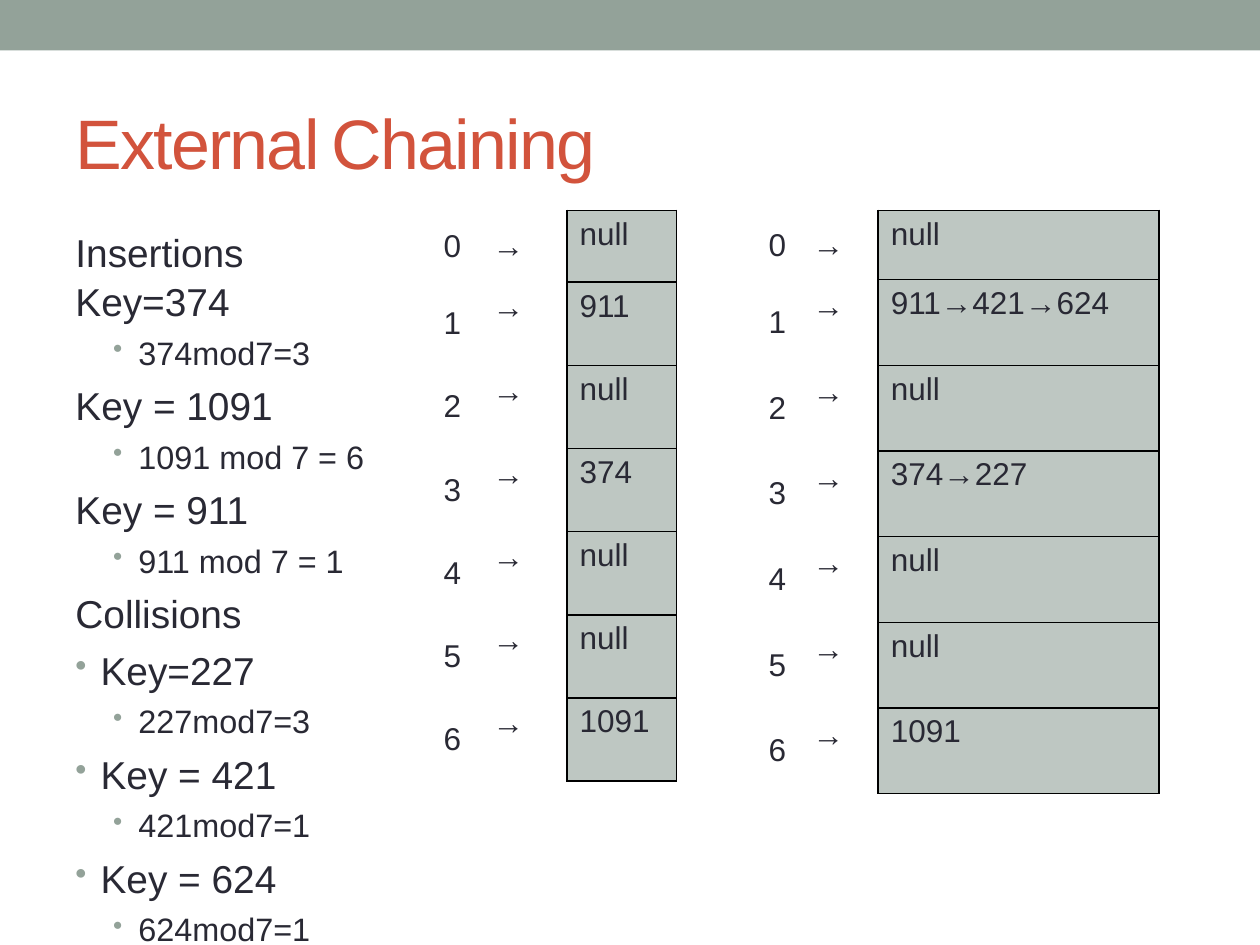
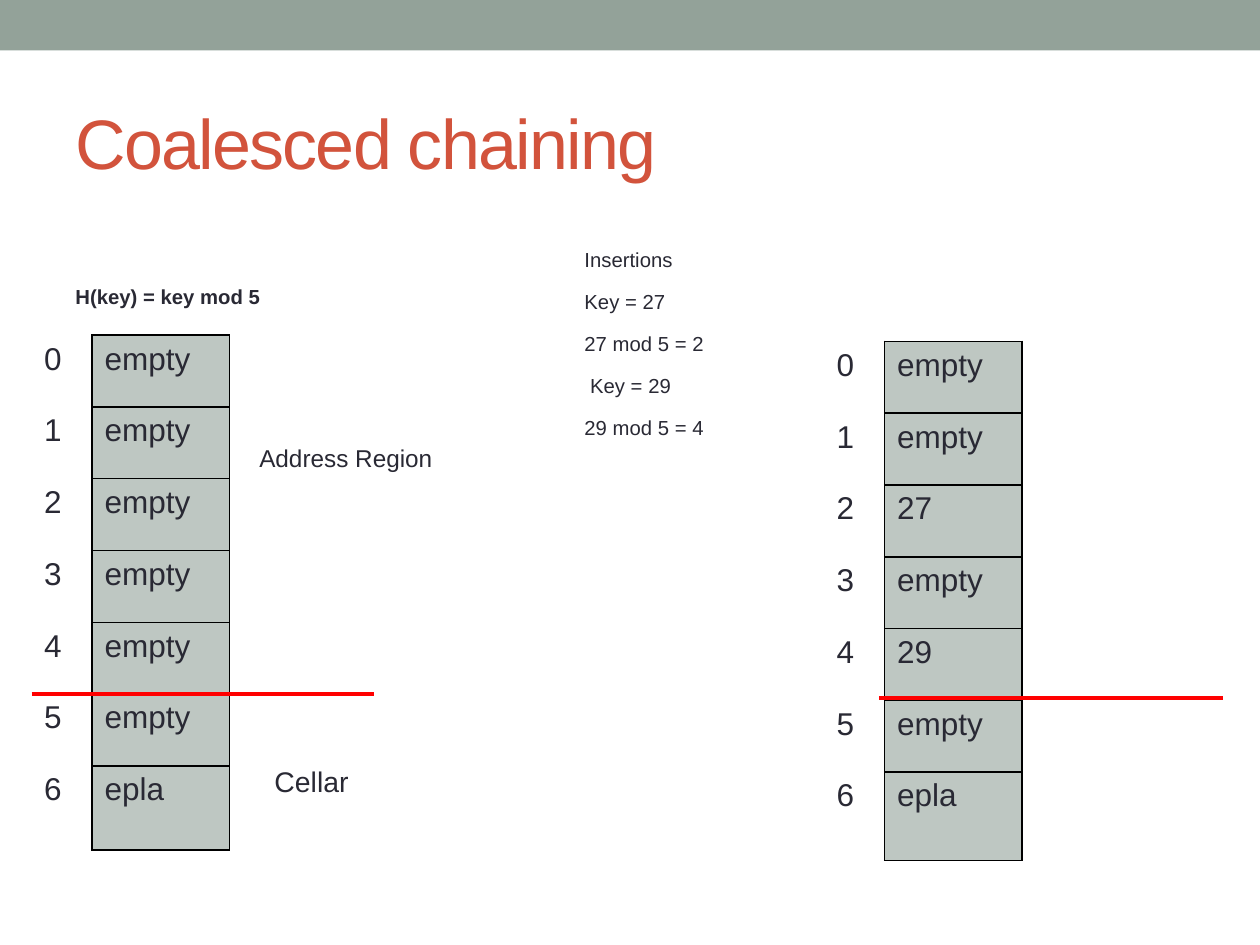
from lxml import etree
from pptx import Presentation, util as u
from pptx.dml.color import RGBColor
from pptx.enum import shapes, text
from pptx.oxml import ns

SAGE = RGBColor(0x93, 0xA2, 0x99)
PALE = RGBColor(0xBE, 0xC7, 0xC2)
RUST = RGBColor(0xD2, 0x53, 0x3C)
INK = RGBColor(0x29, 0x29, 0x34)
RED = RGBColor(0xFF, 0, 0)
PLAIN = "{2D5ABB26-0587-4C30-8999-92F81FD0307C}"  # table style without grid
MID = text.MSO_ANCHOR.MIDDLE


def write(para, words, size, color=INK):
    para.text = words
    para.font.name = "Arial"
    para.font.size = u.Pt(size)
    para.font.color.rgb = color


def grid(page, left, top, cols, highs, rows):
    """Table whose last column holds the boxed slots."""
    frame = page.shapes.add_table(
        len(rows), len(cols), u.Inches(left), u.Inches(top),
        u.Inches(sum(cols)), u.Inches(sum(highs)))
    table = frame.table
    table.first_row = table.horz_banding = False
    table._tbl.tblPr.find(ns.qn("a:tableStyleId")).text = PLAIN
    for col, width in zip(table.columns, cols):
        col.width = u.Inches(width)
    for i, row in enumerate(rows):
        table.rows[i].height = u.Inches(highs[i])
        for j, words in enumerate(row):
            cell = table.cell(i, j)
            write(cell.text_frame.paragraphs[0], words, 18)
            if j < len(cols) - 1:
                cell.fill.background()
                if len(cols) == 3:
                    cell.vertical_anchor = MID
                if j == 1 and i > 0:  # arrows sit above the middle
                    cell.margin_bottom = u.Inches(0.3)
                continue
            cell.fill.solid()
            cell.fill.fore_color.rgb = PALE
            props = cell._tc.get_or_add_tcPr()
            for k, side in enumerate("LRTB"):
                edge = etree.Element(ns.qn("a:ln" + side), w="12700")
                fill = etree.SubElement(edge, ns.qn("a:solidFill"))
                etree.SubElement(fill, ns.qn("a:srgbClr"), val="000000")
                props.insert(k, edge)


deck = Presentation()
deck.slide_width, deck.slide_height = u.Inches(10), u.Inches(7.5)

# Band and title on both slides
pages = []
for parts in (["External", " ", "Chaining"], ["Coalesced chaining"]):
    page = deck.slides.add_slide(deck.slide_layouts[6])
    pages.append(page)
    band = page.shapes.add_shape(
        shapes.MSO_SHAPE.RECTANGLE, 0, 0, deck.slide_width, u.Inches(0.4))
    band.shadow.inherit = False
    band.fill.solid()
    band.fill.fore_color.rgb = SAGE
    band.line.fill.background()
    title = page.shapes.add_textbox(
        u.Inches(0.5), u.Inches(0.58), u.Inches(9), u.Inches(1.08)).text_frame
    title.word_wrap = True
    title.vertical_anchor = MID
    para = title.paragraphs[0]
    write(para, "", 40, RUST)
    for part in parts:
        run = para.add_run()
        run.text = part
        if part == " ":
            run.font.size = u.Pt(24)
        else:
            run._r.get_or_add_rPr().set("spc", "-100")
chain, merge = pages

# Key list: words, level, bullet
keys = [
    ("Insertions\vKey=374", 0, False), ("374mod7=3", 1, True),
    ("Key = 1091", 0, False), ("1091 mod 7 = 6", 1, True),
    ("Key = 911", 0, False), ("911 mod 7 = 1", 1, True),
    ("Collisions", 0, False),
    ("Key=227", 0, True), ("227mod7=3", 1, True),
    ("Key = 421", 0, True), ("421mod7=1", 1, True),
    ("Key = 624", 0, True), ("624mod7=1", 1, True),
]
body = chain.shapes.add_textbox(
    u.Inches(0.5), u.Inches(1.75), u.Inches(2.92), u.Inches(5.33)).text_frame
body.word_wrap = True
for i, (words, level, dot) in enumerate(keys):
    para = body.add_paragraph() if i else body.paragraphs[0]
    size = (22.2, 18.5)[level]
    para.level = level
    para.line_spacing = 1.05
    para.space_before = u.Pt(round(size * 0.2, 1))
    if dot:
        props = para._p.get_or_add_pPr()
        props.set("marL", str(u.Inches((0.2, 0.5)[level])))
        props.set("indent", str(u.Inches(-0.2)))
        tint = etree.SubElement(props, ns.qn("a:buClr"))
        etree.SubElement(tint, ns.qn("a:srgbClr"), val=str(SAGE))
        etree.SubElement(props, ns.qn("a:buSzPct"), val="85000")
        etree.SubElement(props, ns.qn("a:buChar"), char="•")
    write(para, words, size)

# Hash tables before and after the collisions
before = ["null", "911", "null", "374", "null", "null", "1091"]
after = ["null", "911→421→624", "null", "374→227", "null", "null", "1091"]
for left, cols, first, rest, slots in (
        (3.42, (0.39, 0.69, 0.87), 0.57, 0.66, before),
        (6, (0.35, 0.62, 2.23), 0.55, 0.68, after)):
    grid(chain, left, 1.67, cols, [first] + [rest] * 6,
         [(str(i), "→", slot) for i, slot in enumerate(slots)])

# Address region and cellar, divided by a red line
empty = ["empty"] * 6 + ["epla"]
filled = ["empty", "empty", "27", "empty", "29", "empty", "epla"]
for left, top, last, slots, start, stop, level in (
        (0.25, 2.66, 0.67, empty, 0.25, 2.97, 5.51),
        (6.54, 2.71, 0.7, filled, 6.98, 9.71, 5.54)):
    grid(merge, left, top, (0.48, 1.09), [0.57] * 6 + [last],
         [(str(i), slot) for i, slot in enumerate(slots)])
    rule = merge.shapes.add_connector(
        shapes.MSO_CONNECTOR.STRAIGHT, u.Inches(start), u.Inches(level),
        u.Inches(stop), u.Inches(level))
    rule.line.color.rgb = RED
    rule.line.width = u.Pt(2.25)
    etree.SubElement(rule._element.spPr, ns.qn("a:effectLst"))

# Raised labels and insertion steps
steps = ["Insertions", "Key = 27", "27 mod 5 = 2", " Key = 29", "29 mod 5 = 4"]
for left, top, width, high, size, bold, lines in (
        (0.5, 2.17, 1.9, 0.33, 20, True, ["H(key) = key mod 5"]),
        (1.96, 3.43, 1.8, 0.37, 24, False, ["Address Region"]),
        (2.08, 5.97, 0.89, 0.42, 28, False, ["Cellar"]),
        (4.54, 1.88, 2.78, 1.22, 20, False, steps)):
    label = merge.shapes.add_textbox(
        u.Inches(left), u.Inches(top), u.Inches(width), u.Inches(high)).text_frame
    label.word_wrap = True
    for i, words in enumerate(lines):
        para = label.add_paragraph() if i else label.paragraphs[0]
        write(para, words, size)
        para.font.bold = bold
        para.runs[0]._r.get_or_add_rPr().set("baseline", "30000")

deck.save("out.pptx")
